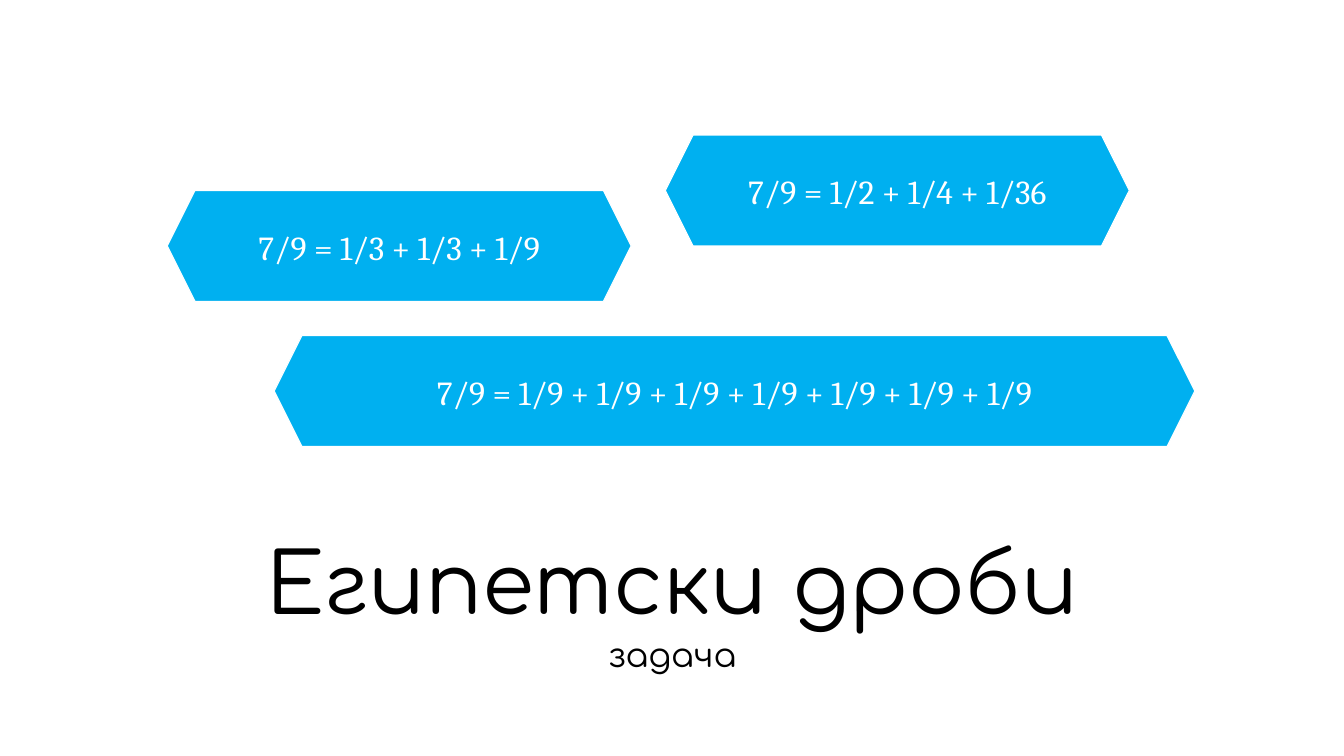
"""Build the title slide of the Egyptian fractions problem."""
from pptx import Presentation
from pptx.dml.color import RGBColor
from pptx.enum.shapes import MSO_SHAPE as Shape
from pptx.enum.text import MSO_ANCHOR as Anchor, PP_ALIGN as Align
from pptx.util import Inches, Pt

BLACK = RGBColor(0x00, 0x00, 0x00)
WHITE = RGBColor(0xFF, 0xFF, 0xFF)
BLUE = RGBColor(0x00, 0xB0, 0xF0)


def write_text(shape, text, font_values, anchor, margin, line_spacing):
    frame = shape.text_frame
    frame.word_wrap = True
    frame.vertical_anchor = anchor
    for side in ("left", "top", "right", "bottom"):
        setattr(frame, f"margin_{side}", Inches(margin))
    paragraph = frame.paragraphs[0]
    paragraph.text = text
    paragraph.alignment = Align.CENTER
    paragraph.line_spacing = line_spacing
    for name, value in font_values.items():
        setattr(paragraph.font, name, value)


presentation = Presentation()
presentation.slide_width = Inches(13.33)
presentation.slide_height = Inches(7.5)
slide = presentation.slides.add_slide(presentation.slide_layouts[6])

headings = [
    ("Египетски дроби", 5.42, 0.9, 60, Anchor.BOTTOM),
    ("задача", 6.29, 0.79, 24, Anchor.TOP),
]
for text, top, height, size, anchor in headings:
    box = slide.shapes.add_textbox(Inches(1), Inches(top), Inches(11.34), Inches(height))
    write_text(box, text, {"name": "Comfortaa", "size": Pt(size)}, anchor, 0.04, 0.9)
    box.text_frame.paragraphs[0].font.color.rgb = BLACK

expansions = [
    (["1/3", "1/3", "1/9"], 1.66, 1.89, 4.6),
    (["1/9"] * 7, 2.72, 3.33, 9.13),
    (["1/2", "1/4", "1/36"], 6.6, 1.34, 4.6),
]
for fractions, left, top, width in expansions:
    hexagon = slide.shapes.add_shape(
        Shape.HEXAGON, Inches(left), Inches(top), Inches(width), Inches(1.1)
    )
    hexagon.adjustments[0] = 0.25
    hexagon.shadow.inherit = False
    hexagon.fill.solid()
    hexagon.fill.fore_color.rgb = BLUE
    hexagon.line.color.rgb = WHITE
    hexagon.line.width = Pt(0.75)
    text = "7/9 = " + " + ".join(fractions)
    write_text(hexagon, text, {"name": "Cambria", "size": Pt(24)}, Anchor.MIDDLE, 0.13, 1.05)
    hexagon.text_frame.paragraphs[0].font.color.rgb = WHITE

presentation.save("out.pptx")
